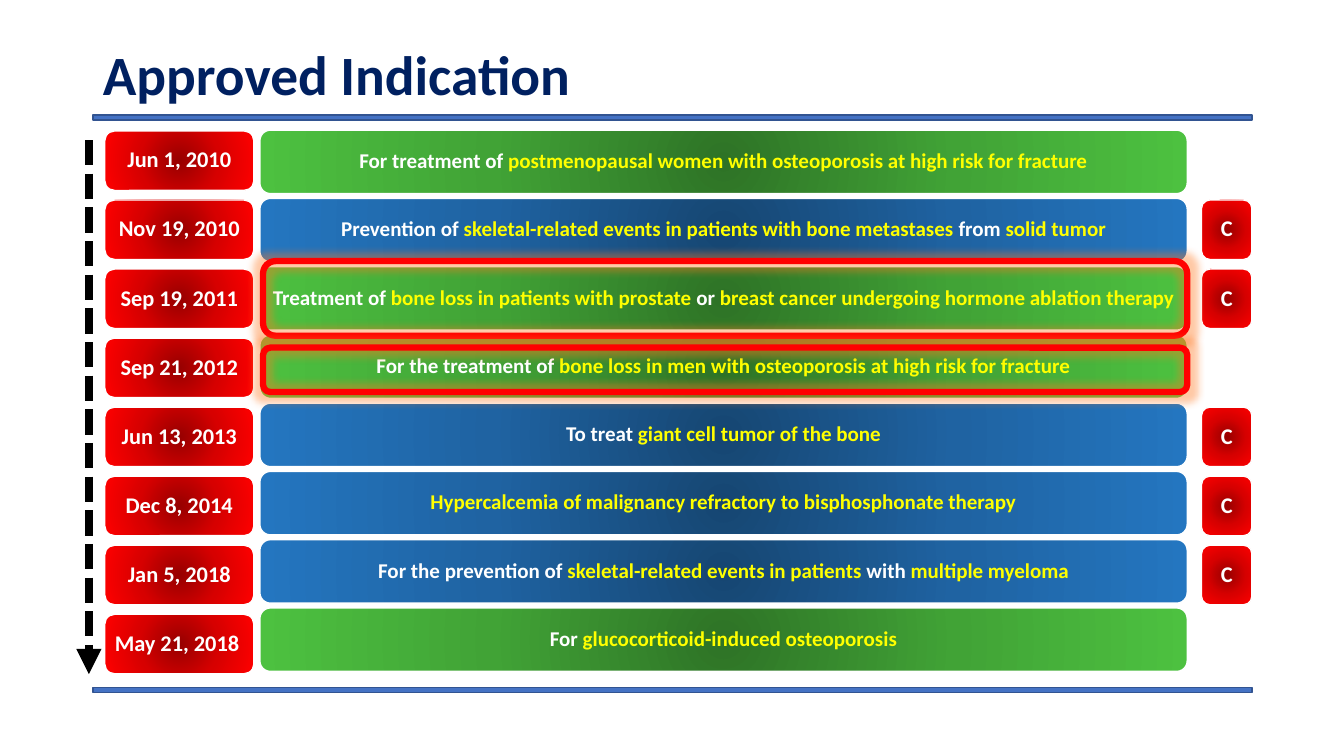
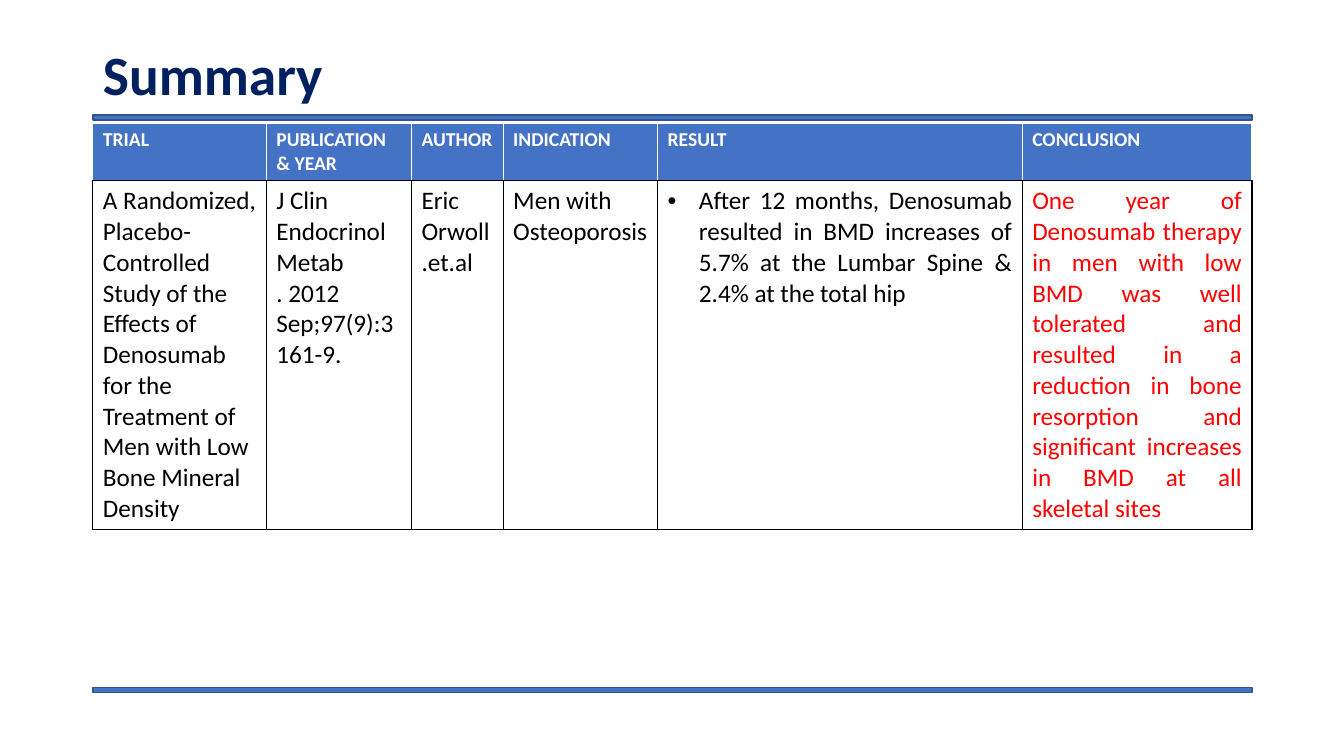
from dataclasses import dataclass

from pptx import Presentation
from pptx.dml.color import RGBColor
from pptx.enum.dml import MSO_LINE
from pptx.enum.shapes import MSO_CONNECTOR, MSO_SHAPE
from pptx.enum.text import MSO_ANCHOR, MSO_AUTO_SIZE, PP_ALIGN
from pptx.oxml import parse_xml
from pptx.oxml.ns import qn
from pptx.util import Cm, Pt

NS = 'xmlns:a="http://schemas.openxmlformats.org/drawingml/2006/main"'


@dataclass(frozen=True)
class Theme:
    font: str = "Calibri"
    navy: str = "002060"
    blue: str = "4472C4"
    edge: str = "325491"
    white: str = "FFFFFF"
    black: str = "000000"
    yellow: str = "FFFF00"
    red: str = "FF0000"
    glow: str = "FF7820"
    # Gradients run from the centre to the rim.
    leaf: tuple = ("2E7326", "41A336", "4DC140")
    sea: tuple = ("164672", "1F63A2", "2476C0")
    ruby: tuple = ("970000", "D70000", "FF0000")
    title: float = 39.6
    body: float = 18
    date: float = 16
    bar: float = 15
    head: float = 14


T = Theme()


@dataclass(frozen=True)
class Area:
    """A place on the slide, in centimetres."""
    left: float
    top: float
    width: float
    height: float

    def down(self, step: float) -> "Area":
        return Area(self.left, self.top + step, self.width, self.height)

    def size(self) -> tuple:
        return Cm(self.left), Cm(self.top), Cm(self.width), Cm(self.height)


@dataclass(frozen=True)
class Step:
    date: str
    text: str
    hue: tuple
    cancer: bool = False


@dataclass(frozen=True)
class Column:
    head: str
    width: float
    text: str
    color: str = T.black
    align: PP_ALIGN = PP_ALIGN.LEFT
    bullet: bool = False


TITLE = Area(2.34, 1.02, 29.21, 1.88)
RULES = (Area(2.34, 2.9, 29.21, 0.13), Area(2.34, 17.32, 29.21, 0.13))
BAR = Area(6.55, 3.28, 23.37, 1.6)
DATE = Area(2.64, 3.3, 3.76, 1.5)
TAG = Area(30.28, 3.3, 1.27, 1.5)
BAR_STEP, DATE_STEP = 1.72, 1.74
RINGS = (Area(6.63, 6.58, 23.29, 1.88), Area(6.63, 8.76, 23.29, 1.12))
GRID = Area(2.34, 3.1, 29.21, 6.48)

STEPS = (
    Step("Jun 1, 2010", "For treatment of *postmenopausal women with "
         "osteoporosis at high risk for fracture", T.leaf),
    Step("Nov 19, 2010", "Prevention of *skeletal-related events in patients "
         "with bone metastases *from *solid tumor", T.sea, True),
    Step("Sep 19, 2011", "Treatment of *bone loss in patients with prostate "
         "*or *breast cancer undergoing hormone ablation therapy",
         T.leaf, True),
    Step("Sep 21, 2012", "For the treatment of *bone loss in men with "
         "osteoporosis at high risk for fracture", T.leaf),
    Step("Jun 13, 2013", "To treat *giant cell tumor of the bone",
         T.sea, True),
    Step("Dec 8, 2014", "*Hypercalcemia of malignancy refractory to "
         "bisphosphonate therapy", T.sea, True),
    Step("Jan 5, 2018", "For the prevention of *skeletal-related events in "
         "patients *with *multiple myeloma", T.sea, True),
    Step("May 21, 2018", "For *glucocorticoid-induced osteoporosis", T.leaf),
)

COLUMNS = (
    Column("TRIAL", 4.37, "A Randomized, Placebo-Controlled Study of the "
           "Effects of Denosumab for the Treatment of Men with Low Bone "
           "Mineral Density"),
    Column("PUBLICATION & YEAR", 3.66,
           "J Clin Endocrinol Metab\n. 2012 Sep;97(9):3161-9."),
    Column("AUTHOR", 2.31, "Eric Orwoll.et.al"),
    Column("INDICATION", 3.89, "Men with Osteoporosis"),
    Column("RESULT", 9.19, "After 12 months, Denosumab resulted in BMD "
           "increases of 5.7% at the Lumbar Spine & 2.4% at the total hip",
           align=PP_ALIGN.JUSTIFY, bullet=True),
    Column("CONCLUSION", 5.79, "One year of Denosumab therapy in men with "
           "low BMD was well tolerated and resulted in a reduction in bone "
           "resorption and significant increases in BMD at all skeletal "
           "sites", T.red, PP_ALIGN.JUSTIFY),
)


def rgb(color: str) -> RGBColor:
    return RGBColor.from_string(color)


def write(frame, text: str, *, size: float, color: str, bold: bool = False,
          align=PP_ALIGN.LEFT, space: float = 1.0,
          bullet: bool = False) -> None:
    """Fill a text frame; each * switches to or from yellow."""
    frame.word_wrap = True
    for row, line in enumerate(text.split("\n")):
        para = frame.add_paragraph() if row else frame.paragraphs[0]
        if bullet:
            props = para._p.get_or_add_pPr()
            props.set("marL", str(Cm(0.79)))
            props.set("indent", str(-Cm(0.79)))
            props.append(parse_xml(f'<a:buFont {NS} typeface="Arial"/>'))
            props.append(parse_xml(f'<a:buChar {NS} char="•"/>'))
        para.alignment = align
        para.line_spacing = space
        for turn, part in enumerate(line.split("*")):
            if part:
                run = para.add_run()
                run.text = part
                font = run.font
                font.name, font.size, font.bold = T.font, Pt(size), bold
                font.color.rgb = rgb(T.yellow if turn % 2 else color)


def shade(shape, stops: tuple) -> None:
    """Give a shape a round gradient about its centre."""
    shape.fill.gradient()
    old = shape.element.spPr.find(qn("a:gradFill"))
    marks = "".join(
        f'<a:gs pos="{i * 50000}"><a:srgbClr val="{stop}"/></a:gs>'
        for i, stop in enumerate(stops))
    old.getparent().replace(old, parse_xml(
        f'<a:gradFill {NS} rotWithShape="1"><a:gsLst>{marks}</a:gsLst>'
        '<a:path path="circle"><a:fillToRect l="50000" t="50000" '
        'r="50000" b="50000"/></a:path></a:gradFill>'))


def draw(slide, kind, area: Area, line: str, weight: float = 1):
    shape = slide.shapes.add_shape(kind, *area.size())
    shape.shadow.inherit = False
    shape.line.color.rgb = rgb(line)
    shape.line.width = Pt(weight)
    return shape


def tile(slide, area: Area, text: str, hue: tuple, size: float,
         pad: float, align=PP_ALIGN.CENTER) -> None:
    shape = draw(slide, MSO_SHAPE.ROUNDED_RECTANGLE, area, T.white)
    shade(shape, hue)
    frame = shape.text_frame
    frame.vertical_anchor = MSO_ANCHOR.MIDDLE
    frame.margin_left = frame.margin_right = Cm(pad)
    frame.margin_top = frame.margin_bottom = Cm(pad)
    write(frame, text, size=size, color=T.white, bold=True, align=align,
          space=0.9)


def ring(slide, area: Area) -> None:
    """Draw a glowing red outline."""
    shape = draw(slide, MSO_SHAPE.ROUNDED_RECTANGLE, area, T.red, 4.5)
    shape.fill.background()
    shape.element.spPr.find(qn("a:effectLst")).append(parse_xml(
        f'<a:glow {NS} rad="{Pt(11)}"><a:srgbClr val="{T.glow}">'
        '<a:alpha val="40000"/></a:srgbClr></a:glow>'))


def arrow(slide) -> None:
    link = slide.shapes.add_connector(
        MSO_CONNECTOR.STRAIGHT, Cm(2.24), Cm(3.53), Cm(2.24), Cm(16.99))
    link.line.color.rgb = rgb(T.black)
    link.line.width = Pt(6)
    link.line.dash_style = MSO_LINE.SQUARE_DOT
    props = link.element.spPr
    props.find(qn("a:ln")).append(
        parse_xml(f'<a:tailEnd {NS} type="triangle"/>'))
    props.append(parse_xml(f"<a:effectLst {NS}/>"))


def page(deck, title: str):
    slide = deck.slides.add_slide(deck.slide_layouts[5])
    head = slide.shapes.title
    head.left, head.top, head.width, head.height = TITLE.size()
    frame = head.text_frame
    frame.auto_size = MSO_AUTO_SIZE.NONE
    frame.vertical_anchor = MSO_ANCHOR.MIDDLE
    write(frame, title, size=T.title, color=T.navy, bold=True, space=0.9)
    return slide


def share(slide) -> None:
    """Put the two rules on the layout, so that every slide shows them."""
    layout = slide.slide_layout
    for holder in list(layout.placeholders)[1:]:
        layout.shapes.element.remove(holder.element)
    for area in RULES:
        rule = draw(slide, MSO_SHAPE.RECTANGLE, area, T.edge)
        rule.fill.solid()
        rule.fill.fore_color.rgb = rgb(T.blue)
        rule.name = f"Rule {rule.shape_id}"
        layout.shapes.element.append(rule.element)
        rule.element.nvSpPr.cNvPr.set("id", str(10 + RULES.index(area)))


def border(cell, **sides: str) -> None:
    props = cell._tc.get_or_add_tcPr()
    for place, side in enumerate("LRTB"):
        props.insert(place, parse_xml(
            f'<a:ln{side} {NS} w="{Pt(1)}"><a:solidFill><a:srgbClr '
            f'val="{sides[side]}"/></a:solidFill></a:ln{side}>'))


def history(deck) -> None:
    slide = page(deck, "Approved Indication")
    share(slide)
    for row, step in enumerate(STEPS):
        tile(slide, BAR.down(row * BAR_STEP), step.text, step.hue, T.bar,
             0.15)
        last = row == len(STEPS) - 1
        tile(slide, DATE.down(row * DATE_STEP), step.date, T.ruby, T.date,
             0.18, PP_ALIGN.LEFT if last else PP_ALIGN.CENTER)
        if step.cancer:
            tile(slide, TAG.down(row * DATE_STEP), "C", T.ruby, T.date, 0.18)
    arrow(slide)
    for area in RINGS:
        ring(slide, area)


def summary(deck) -> None:
    slide = page(deck, "Summary")
    table = slide.shapes.add_table(2, len(COLUMNS), *GRID.size()).table
    table.horz_banding = False
    table.rows[0].height, table.rows[1].height = Cm(1.32), Cm(5.16)
    for place, col in enumerate(COLUMNS):
        table.columns[place].width = Cm(col.width)
        head, body = table.cell(0, place), table.cell(1, place)
        head.fill.solid()
        head.fill.fore_color.rgb = rgb(T.blue)
        border(head, L=T.white, R=T.white, T=T.white, B=T.black)
        write(head.text_frame, col.head, size=T.head, color=T.white,
              bold=True)
        body.fill.background()
        border(body, **dict.fromkeys("LRTB", T.black))
        write(body.text_frame, col.text, size=T.body, color=col.color,
              align=col.align, bullet=col.bullet)


def main() -> None:
    deck = Presentation()
    deck.slide_width, deck.slide_height = Cm(33.87), Cm(19.05)
    history(deck)
    summary(deck)
    deck.save("out.pptx")


if __name__ == "__main__":
    main()
